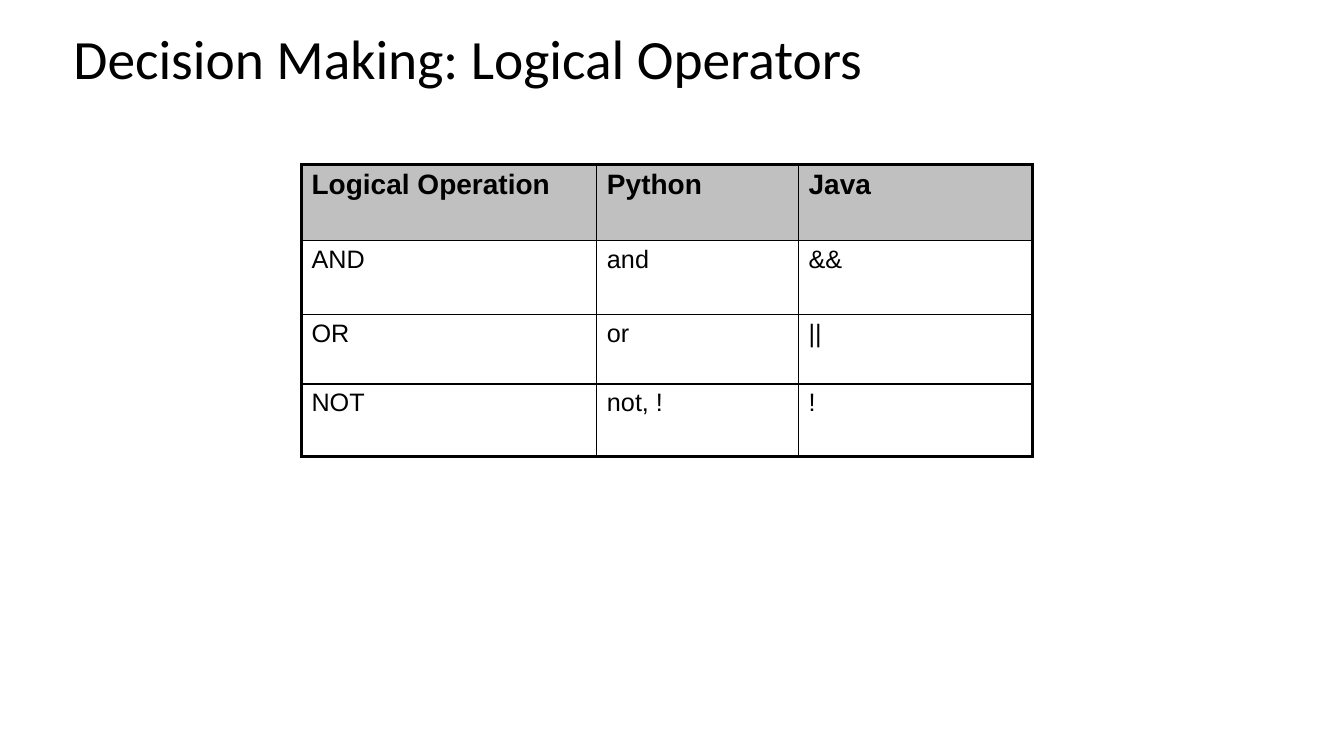
from pptx import Presentation
from pptx.dml.color import RGBColor as RGB
from pptx.enum.text import MSO_ANCHOR as Anchor
from pptx.oxml import parse_xml
from pptx.oxml.ns import nsdecls
from pptx.util import Inches, Pt

HUES = {"ink": "000000", "head": "C0C0C0"}
ROWS = [
    ("Logical Operation", "Python", "Java"),
    ("AND", "and", "&&"),
    ("OR", "or", "||"),
    ("NOT", "not, !", "!"),
]
WIDE = (2.93, 2, 2.32)
HIGH = (0.76, 0.73, 0.69, 0.72)


class Deck:
    """Holds the style and the current slide, and draws its elements."""

    def __init__(self):
        self.show = Presentation()
        self.show.slide_width = Inches(13.33)
        self.show.slide_height = Inches(7.5)
        self.slide = self.show.slides.add_slide(self.show.slide_layouts[6])

    def style(self, frame, face, size, bold=False):
        for run in frame.paragraphs[0].runs:
            font = run.font
            font.name, font.size, font.bold = face, Pt(size), bold
            font.color.rgb = RGB.from_string(HUES["ink"])

    def title(self, text, left, top, width, height):
        box = self.slide.shapes.add_textbox(
            Inches(left), Inches(top), Inches(width), Inches(height))
        frame = box.text_frame
        frame.word_wrap = True
        frame.vertical_anchor = Anchor.MIDDLE
        frame.text = text
        frame.paragraphs[0].line_spacing = 0.9
        self.style(frame, "Calibri", 39.6)

    def border(self, cell, side, width):
        line = parse_xml(
            f'<a:ln{side} {nsdecls("a")} w="{Pt(width)}"><a:solidFill>'
            f'<a:srgbClr val="{HUES["ink"]}"/></a:solidFill></a:ln{side}>')
        cell._tc.get_or_add_tcPr().append(line)

    def table(self, rows, left, top, wide, high):
        grid = self.slide.shapes.add_table(
            len(rows), len(wide), Inches(left), Inches(top),
            Inches(sum(wide)), Inches(sum(high))).table
        grid.first_row = grid.horz_banding = False
        for col, width in zip(grid.columns, wide):
            col.width = Inches(width)
        for row, height in zip(grid.rows, high):
            row.height = Inches(height)
        for r, texts in enumerate(rows):
            for c, text in enumerate(texts):
                cell = grid.cell(r, c)
                head = r == 0
                cell.text_frame.text = text
                self.style(cell.text_frame, "Arial", 20 if head else 18, head)
                edges = {"L": c == 0, "R": c == len(wide) - 1,
                         "T": head, "B": r == len(rows) - 1}
                for side, outer in edges.items():
                    self.border(cell, side, 2.25 if outer else 1)
                if head:
                    cell.fill.solid()
                    cell.fill.fore_color.rgb = RGB.from_string(HUES["head"])
                else:
                    cell.fill.background()


def main():
    deck = Deck()
    deck.title("Decision Making: Logical Operators", 0.63, 0.33, 11.91, 0.57)
    deck.table(ROWS, 2.99, 1.63, WIDE, HIGH)
    deck.show.save("out.pptx")


if __name__ == "__main__":
    main()
